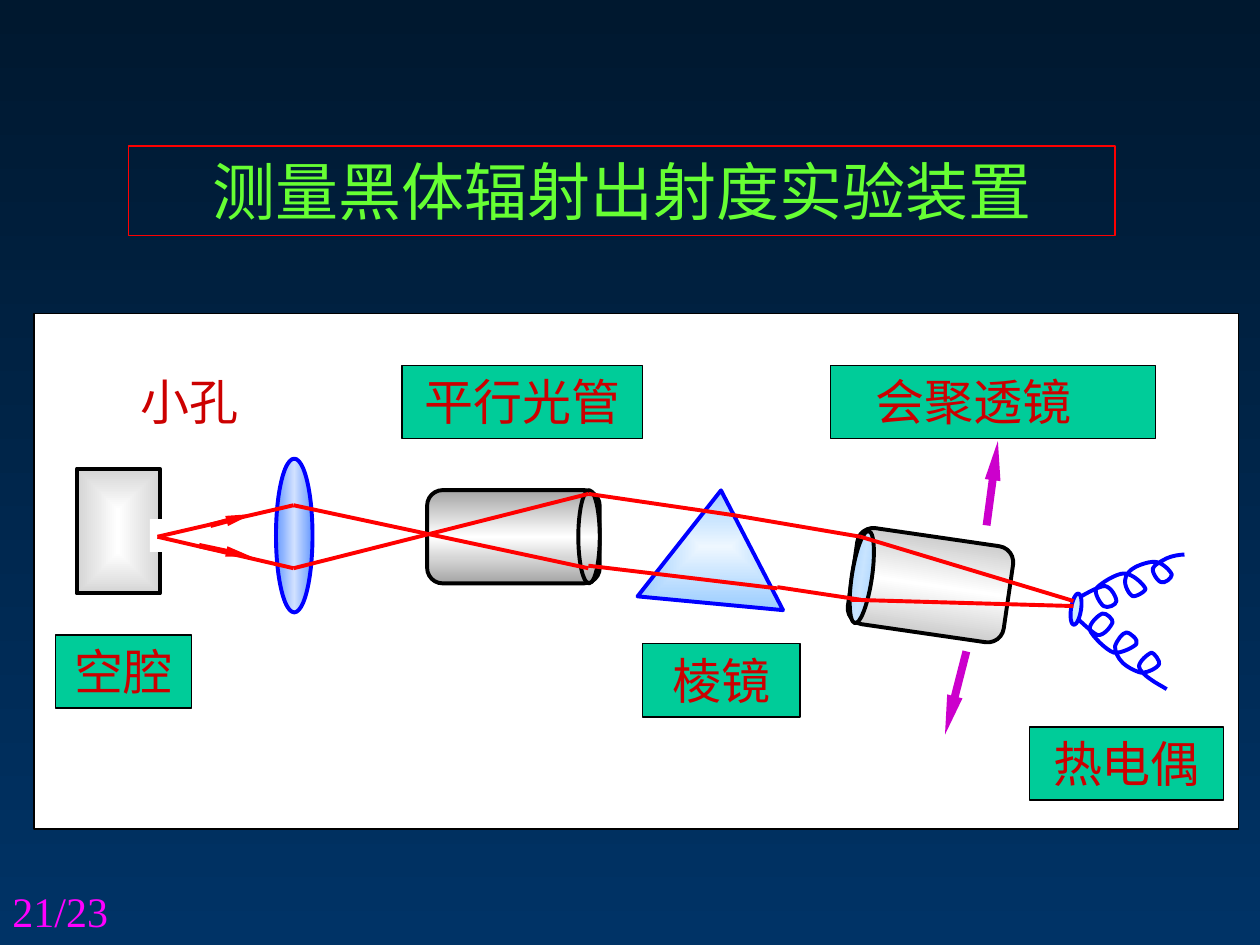
from math import cos, radians, sin

from lxml.etree import SubElement
from pptx import Presentation
from pptx.dml.color import RGBColor
from pptx.enum.shapes import MSO_CONNECTOR, MSO_SHAPE
from pptx.enum.text import MSO_ANCHOR, MSO_AUTO_SIZE, PP_ALIGN
from pptx.oxml.ns import qn
from pptx.util import Inches, Pt

THEME = {
    "label": "00CC99", "label_text": "CC0000", "title_text": "66FF33", "page_text": "FF00FF",
    "white": "FFFFFF", "black": "000000", "blue": "0000FF", "red": "FF0000",
    "purple": "CC00CC", "sensor": "CCECFF",
    "title_size": 36, "label_size": 28, "page_size": 24,
    "thin": 0.75, "outline": 2.25, "ray_arrow": 3, "bold_arrow": 4.5,
    "cjk": "Noto Sans CJK SC", "latin": "Times New Roman",
}
LEFT, CENTER = PP_ALIGN.LEFT, PP_ALIGN.CENTER


def banded(edge, middle, angle):
    return {"stops": [(0, edge), (50, middle), (100, edge)], "angle": angle}


def centred(middle, edge):
    return {"stops": [(0, middle), (100, edge)], "angle": None}


BACKGROUND = {"stops": [(0, "00182F"), (100, "003366")], "angle": 90}
TUBE = banded("A5A5A5", "FFFFFF", 90)

# Apparatus: preset, box, rotation, fill, line colour, line width
PARTS = [
    (MSO_SHAPE.RECTANGLE, (0.27, 2.49, 9.56, 4.09), 0, "FFFFFF", "black", "thin"),
    (MSO_SHAPE.RECTANGLE, (0.61, 3.72, 0.66, 0.99), 0, centred("FFFFFF", "D5D5D5"), "black", "outline"),
    (MSO_SHAPE.OVAL, (2.19, 3.64, 0.29, 1.22), 0, banded("6699FF", "D1E1FF", 0), "blue", "outline"),
    (MSO_SHAPE.ROUNDED_RECTANGLE, (6.76, 4.26, 1.25, 0.77), 8.3, banded("B6B6B6", "FFFFFF", 90), "black", "outline"),
    (MSO_SHAPE.OVAL, (6.76, 4.21, 0.16, 0.74), 8.5, banded("99CCFF", "C8E4FF", 0), "black", "outline"),
    (MSO_SHAPE.ROUNDED_RECTANGLE, (3.39, 3.89, 1.37, 0.74), 0, TUBE, "black", "outline"),
    (MSO_SHAPE.OVAL, (4.59, 3.89, 0.17, 0.74), 0, TUBE, "black", "outline"),
    (MSO_SHAPE.ISOSCELES_TRIANGLE, (5.1, 3.89, 1.16, 0.9), 5.4, centred("EEF7FF", "99CCFF"), "blue", "outline"),
    (MSO_SHAPE.RECTANGLE, (1.19, 4.12, 0.17, 0.26), 0, "FFFFFF", None, None),
]
SENSOR = (MSO_SHAPE.OVAL, (8.5, 4.71, 0.08, 0.25), 8.7, THEME["sensor"], "blue", "outline")

# Labels: text, box, alignment, left inset, fill, latin font
LABELS = [
    ("会聚透镜", (6.59, 2.9, 2.58, 0.58), LEFT, 0.36, "label", "cjk"),
    ("空腔", (0.44, 5.04, 1.08, 0.58), CENTER, 0.1, "label", "latin"),
    ("小孔", (1.02, 2.9, 1.41, 0.57), LEFT, 0.1, None, "latin"),
    ("平行光管", (3.19, 2.9, 1.91, 0.58), CENTER, 0.1, "label", "cjk"),
    ("棱镜", (5.1, 5.11, 1.25, 0.58), CENTER, 0.1, "label", "cjk"),
    ("热电偶", (8.17, 5.77, 1.54, 0.58), CENTER, 0.1, "label", "latin"),
]

# Thermocouple wires: rotation, start point followed by Bezier triples
WIRES = [
    (0, [(8.5, 4.87),
         (8.54, 4.89), (8.66, 5.02), (8.71, 5.04), (8.76, 5.05), (8.82, 4.97), (8.83, 4.94),
         (8.84, 4.92), (8.78, 4.86), (8.75, 4.87), (8.72, 4.88), (8.64, 4.95), (8.65, 5),
         (8.67, 5.05), (8.78, 5.16), (8.84, 5.18), (8.9, 5.19), (9.01, 5.13), (9.02, 5.11),
         (9.04, 5.08), (8.97, 5.02), (8.94, 5.02), (8.91, 5.02), (8.86, 5.09), (8.85, 5.13),
         (8.85, 5.17), (8.87, 5.22), (8.91, 5.26), (8.94, 5.29), (9.01, 5.33), (9.06, 5.34),
         (9.11, 5.34), (9.19, 5.3), (9.2, 5.27), (9.21, 5.25), (9.16, 5.18), (9.14, 5.18),
         (9.11, 5.19), (9.04, 5.25), (9.04, 5.29), (9.04, 5.32), (9.1, 5.37), (9.13, 5.39),
         (9.17, 5.42), (9.23, 5.45), (9.26, 5.47)]),
    (14.7, [(8.53, 4.76),
            (8.57, 4.74), (8.71, 4.65), (8.77, 4.65), (8.82, 4.66), (8.86, 4.74), (8.86, 4.77),
            (8.86, 4.8), (8.79, 4.83), (8.76, 4.81), (8.74, 4.8), (8.68, 4.71), (8.7, 4.67),
            (8.73, 4.63), (8.86, 4.55), (8.92, 4.55), (8.99, 4.55), (9.08, 4.64), (9.09, 4.67),
            (9.1, 4.69), (9.01, 4.74), (8.99, 4.73), (8.96, 4.72), (8.92, 4.64), (8.93, 4.6),
            (8.93, 4.56), (8.97, 4.52), (9.01, 4.5), (9.05, 4.48), (9.13, 4.45), (9.18, 4.46),
            (9.23, 4.47), (9.29, 4.53), (9.3, 4.56), (9.3, 4.59), (9.24, 4.63), (9.22, 4.62),
            (9.19, 4.62), (9.14, 4.54), (9.15, 4.51), (9.16, 4.48), (9.22, 4.45), (9.26, 4.43),
            (9.3, 4.41), (9.37, 4.4), (9.4, 4.4)]),
]
WIRE_PIVOT = (8.97, 4.58)

# Line groups: colour, width, arrowhead, segments (x1, y1, x2, y2)
LINES = [
    ("red", "outline", False, [(2.33, 4.01, 4.67, 4.51), (2.33, 4.51, 4.67, 3.92)]),
    ("red", "outline", False, [(4.67, 3.92, 5.83, 4.09), (4.67, 4.49, 6.17, 4.67),
                               (5.83, 4.09, 6.83, 4.26), (6.17, 4.66, 6.83, 4.76)]),
    ("red", "outline", False, [(6.83, 4.26, 8.52, 4.77), (6.75, 4.76, 8.52, 4.81)]),
    ("purple", "bold_arrow", True, [(7.67, 5.17, 7.5, 5.83), (7.83, 4.17, 7.92, 3.5)]),
    ("red", "outline", False, [(1.25, 4.26, 2.33, 4.01), (1.25, 4.26, 2.33, 4.51)]),
    ("red", "ray_arrow", True, [(1.67, 4.17, 2, 4.08), (1.58, 4.33, 2, 4.42)]),
]


def rgb(value):
    return RGBColor.from_string(value)


def set_gradient(solid, gradient):
    """Put a gradient where a solid fill element stands."""
    grad = solid.getparent().makeelement(qn("a:gradFill"), {"rotWithShape": "1"})
    stops = SubElement(grad, qn("a:gsLst"))
    for pos, color in gradient["stops"]:
        gs = SubElement(stops, qn("a:gs"), pos=str(pos * 1000))
        SubElement(gs, qn("a:srgbClr"), val=color)
    if gradient["angle"] is None:
        shade = SubElement(grad, qn("a:path"), {"path": "shape"})
        SubElement(shade, qn("a:fillToRect"), dict.fromkeys("ltrb", "50000"))
    else:
        SubElement(grad, qn("a:lin"), ang=str(gradient["angle"] * 60000), scaled="1")
    solid.getparent().replace(solid, grad)


def set_line(sp, color, width):
    if color is None:
        sp.line.fill.background()
    else:
        sp.line.color.rgb = rgb(THEME[color])
        sp.line.width = Pt(THEME[width])


def add_part(shapes, preset, box, rotation, fill, color, width):
    sp = shapes.add_shape(preset, *map(Inches, box))
    sp.shadow.inherit = False
    sp.rotation = rotation
    if fill is None:
        sp.fill.background()
    else:
        sp.fill.solid()
        if isinstance(fill, dict):
            set_gradient(sp._element.spPr.find(qn("a:solidFill")), fill)
        else:
            sp.fill.fore_color.rgb = rgb(fill)
    set_line(sp, color, width)
    return sp


def write(sp, text, size, color, font, align=LEFT, inset=0.1, grow=True):
    tf = sp.text_frame
    tf.word_wrap = True
    tf.vertical_anchor = MSO_ANCHOR.TOP
    tf.auto_size = MSO_AUTO_SIZE.SHAPE_TO_FIT_TEXT if grow else MSO_AUTO_SIZE.NONE
    tf.margin_left = Inches(inset)
    p = tf.paragraphs[0]
    p.alignment = align
    r = p.add_run()
    r.text = text
    r.font.size = Pt(THEME[size])
    r.font.color.rgb = rgb(THEME[color])
    r.font.name = THEME[font]
    SubElement(r.font._element, qn("a:ea"), typeface=THEME["cjk"])


def add_wire(shapes, rotation, points):
    # Turn the points back so that the shape's own rotation restores them
    a, (cx, cy) = radians(rotation), WIRE_PIVOT
    pts = [(Inches(cx + (x - cx) * cos(a) + (y - cy) * sin(a)),
            Inches(cy - (x - cx) * sin(a) + (y - cy) * cos(a))) for x, y in points]
    builder = shapes.build_freeform(*pts[0])
    builder.add_line_segments(pts[1:], close=False)
    sp = builder.convert_to_shape()
    sp.shadow.inherit = False
    sp.rotation = rotation
    sp.fill.background()
    set_line(sp, "blue", "outline")
    # Merge each three segments into one cubic curve
    segments = list(sp._element.iter(qn("a:lnTo")))
    outline = segments[0].getparent()
    for i in range(0, len(segments), 3):
        curve = SubElement(outline, qn("a:cubicBezTo"))
        for segment in segments[i:i + 3]:
            curve.append(segment[0])
            outline.remove(segment)


def add_line(shapes, ends, color, width, arrow):
    line = shapes.add_connector(MSO_CONNECTOR.STRAIGHT, *map(Inches, ends))
    set_line(line, color, width)
    if arrow:
        SubElement(line.line._get_or_add_ln(), qn("a:tailEnd"), type="triangle", w="sm", len="lg")
    SubElement(line._element.spPr, qn("a:effectLst"))


def main():
    prs = Presentation()
    prs.slide_width, prs.slide_height = Inches(10), Inches(7.5)
    s = prs.slides.add_slide(prs.slide_layouts[6])
    s.background.fill.solid()
    set_gradient(next(s._element.iter(qn("a:solidFill"))), BACKGROUND)

    # Apparatus with its labels
    apparatus = s.shapes.add_group_shape().shapes
    for part in PARTS:
        add_part(apparatus, *part)
    for text, box, align, inset, fill, font in LABELS:
        if fill:
            sp = add_part(apparatus, MSO_SHAPE.RECTANGLE, box, 0, THEME[fill], "black", "thin")
        else:
            sp = apparatus.add_textbox(*map(Inches, box))
        write(sp, text, "label_size", "label_text", font, align, inset)
    for wire in WIRES:
        add_wire(apparatus, *wire)
    add_part(apparatus, *SENSOR)

    # Title
    title = add_part(s.shapes, MSO_SHAPE.RECTANGLE, (1.02, 1.16, 7.83, 0.71), 0, None, "red", "thin")
    write(title, "测量黑体辐射出射度实验装置", "title_size", "title_text", "latin", CENTER)

    # Light rays and arrows
    for color, width, arrow, segments in LINES:
        rays = s.shapes.add_group_shape().shapes
        for ends in segments:
            add_line(rays, ends, color, width, arrow)

    # Page number
    page = s.shapes.add_textbox(*map(Inches, (0, 6.98, 2.33, 0.52)))
    write(page, "21/23", "page_size", "page_text", "latin", grow=False)
    prs.save("out.pptx")


if __name__ == "__main__":
    main()
